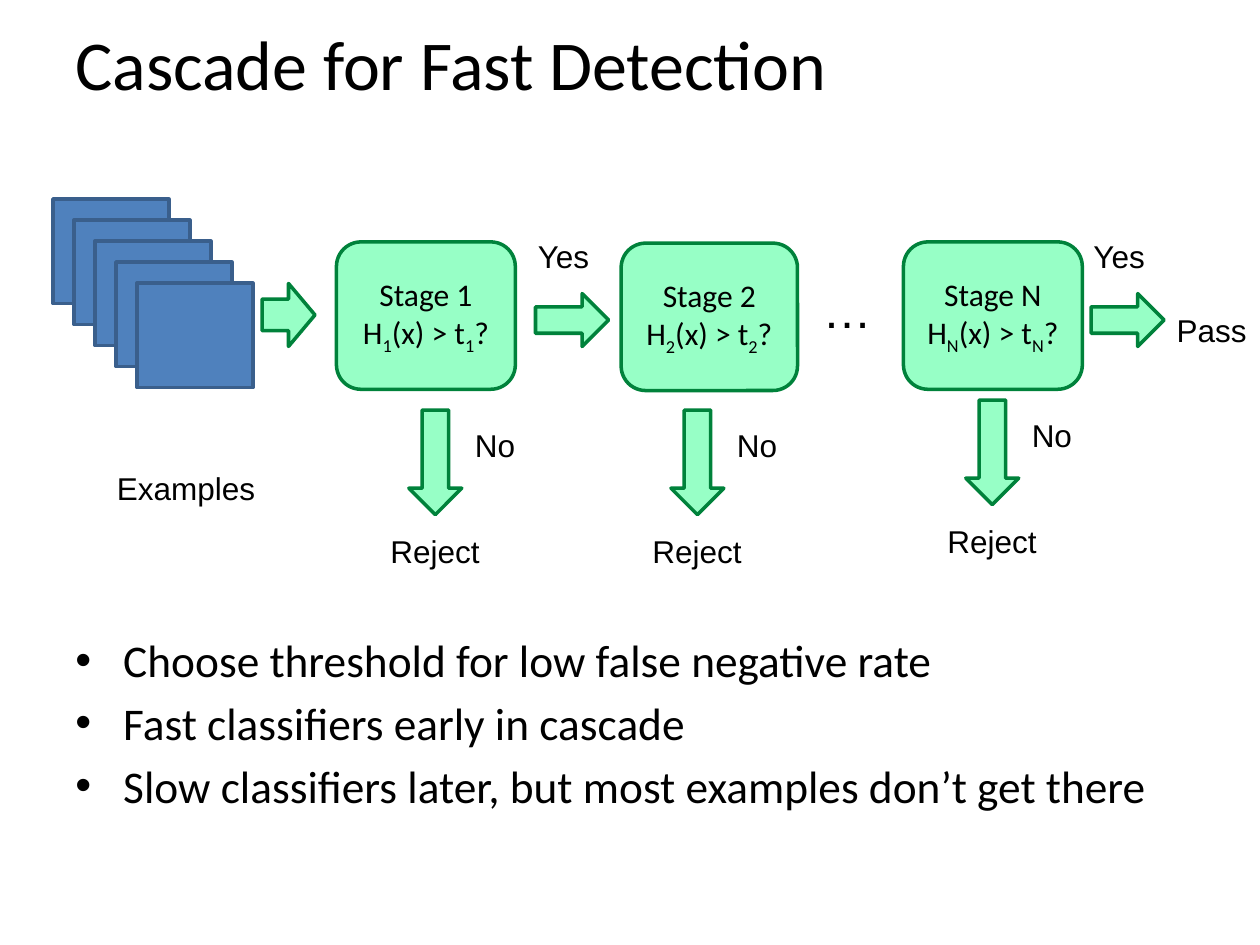
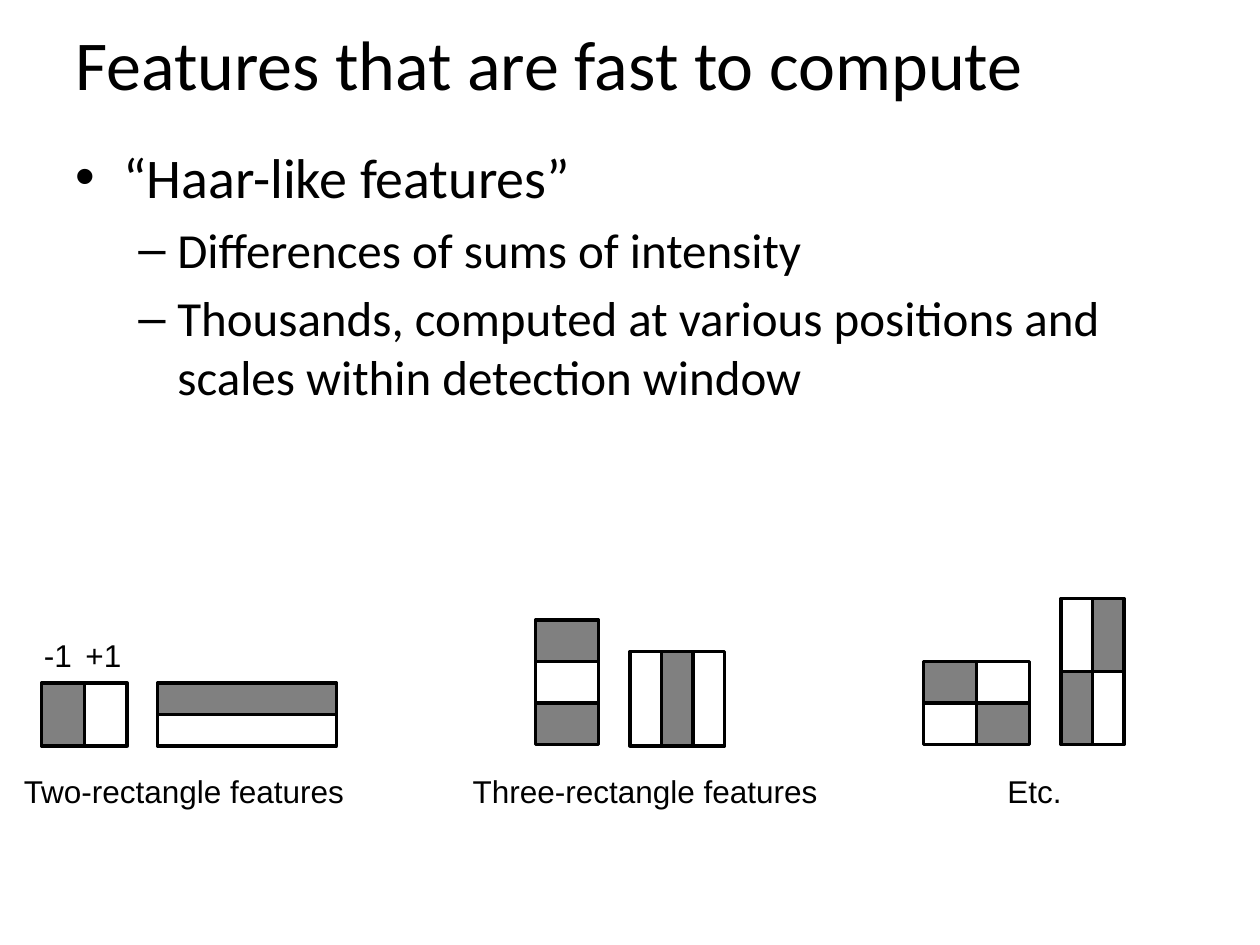
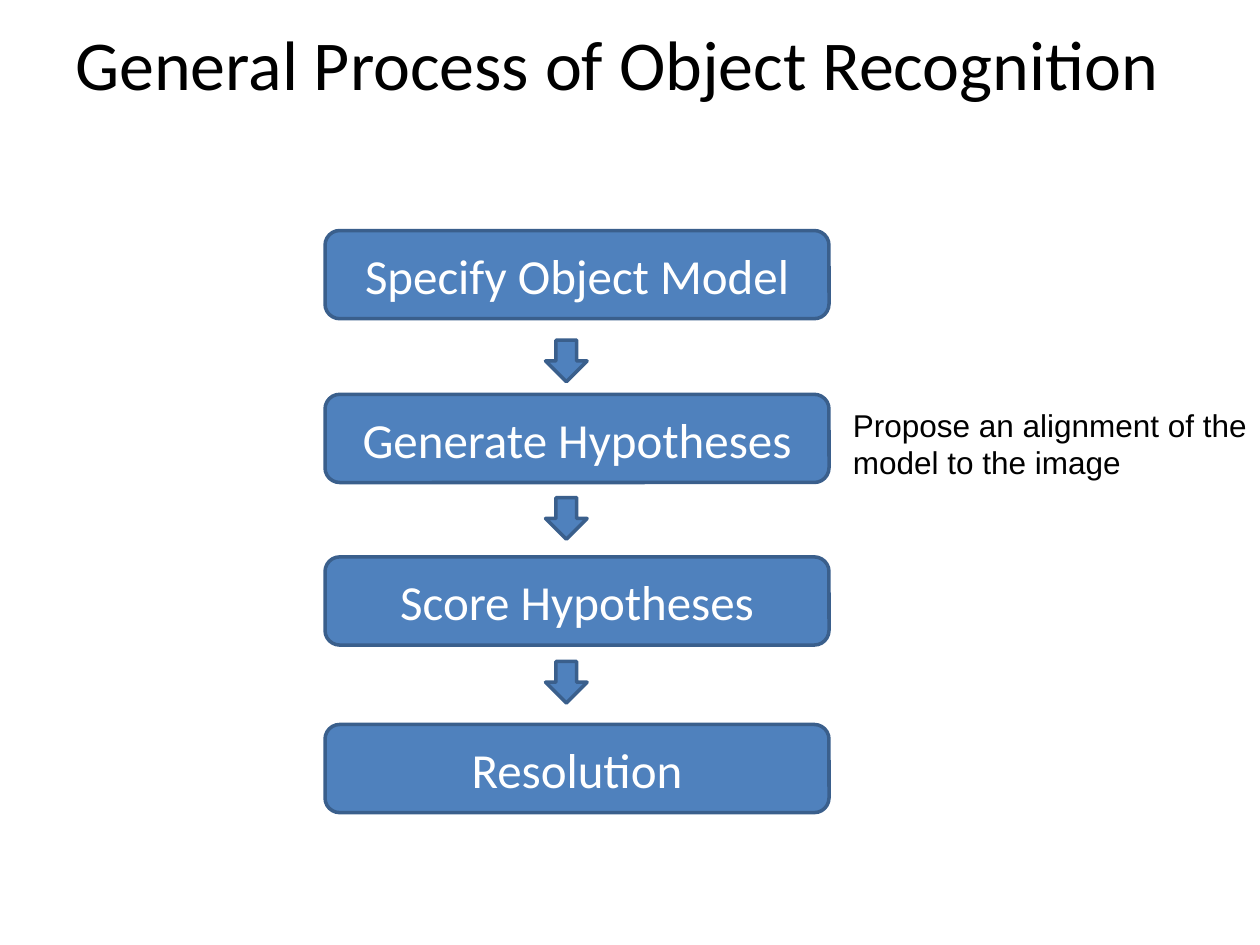
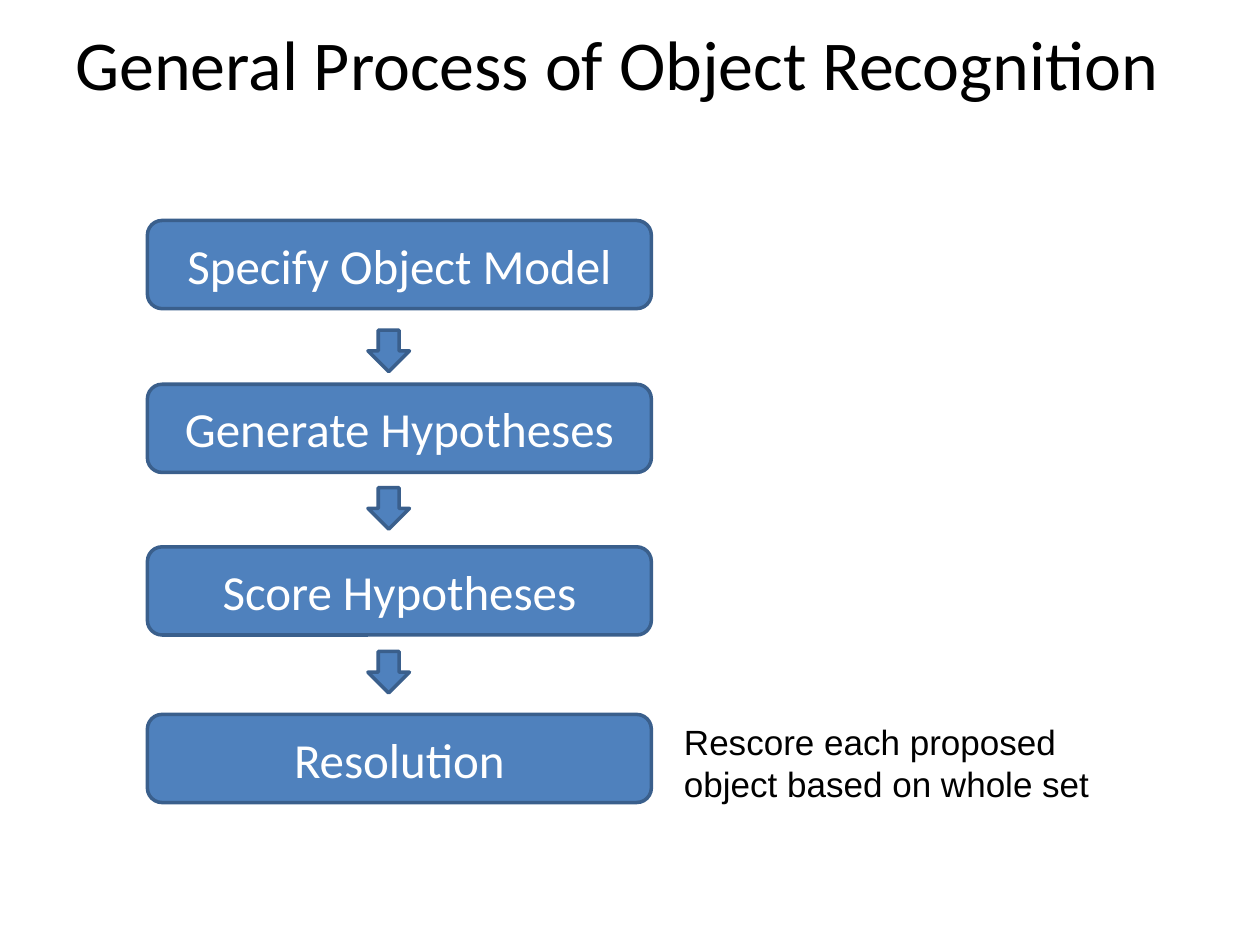
from dataclasses import dataclass

from lxml.etree import SubElement
from pptx import Presentation
from pptx.dml.color import RGBColor
from pptx.enum.shapes import MSO_SHAPE as Preset
from pptx.enum.text import MSO_ANCHOR as Anchor, MSO_AUTO_SIZE as AutoSize, PP_ALIGN as Align
from pptx.oxml.ns import qn
from pptx.shapes.autoshape import Shape
from pptx.slide import Slide
from pptx.util import Inches, Pt

BLACK = RGBColor(0x00, 0x00, 0x00)
WHITE = RGBColor(0xFF, 0xFF, 0xFF)
GRAY = RGBColor(0x80, 0x80, 0x80)
BLUE = RGBColor(0x4F, 0x81, 0xBD)
DARK_BLUE = RGBColor(0x3A, 0x5F, 0x8C)
MINT = RGBColor(0x97, 0xFF, 0xC6)
GREEN = RGBColor(0x00, 0x82, 0x3B)

HEADING_FONT = "Calibri"
LABEL_FONT = "Arial"


@dataclass(frozen=True)
class Box:
    left: float
    top: float
    width: float
    height: float

    def lengths(self) -> tuple[int, int, int, int]:
        return Inches(self.left), Inches(self.top), Inches(self.width), Inches(self.height)


@dataclass(frozen=True)
class Style:
    fill: RGBColor
    line: RGBColor


@dataclass(frozen=True)
class Bullet:
    text: str
    size: float
    space_before: float = 0
    symbol: str = "•"
    margin: float = 0.38
    hanging: float = 0.38


@dataclass(frozen=True)
class Stage:
    name: str
    box: Box
    branch_left: float
    branch_top: float


@dataclass(frozen=True)
class Feature:
    left: float
    top: float
    cell_width: float
    cell_height: float
    rows: tuple[str, ...]  # "-" is a gray cell, "+" a white one


@dataclass(frozen=True)
class Note:
    text: str
    box: Box
    size: int


BLUE_STYLE = Style(BLUE, DARK_BLUE)
GREEN_STYLE = Style(MINT, GREEN)
CELL_STYLES = {"-": Style(GRAY, BLACK), "+": Style(WHITE, BLACK)}
TITLE_BOX = Box(0.5, 0, 9, 1)

STAGES = (
    Stage("1", Box(2.67, 1.92, 1.42, 1.17), 3, 3.33),
    Stage("2", Box(4.93, 1.93, 1.4, 1.17), 5.08, 3.33),
    Stage("N", Box(7.17, 1.92, 1.42, 1.17), 7.42, 3.25),
)
YES_LEFTS = (4.17, 8.58)

FEATURES = (
    Feature(0.33, 5.42, 0.34, 0.5, ("-+",)),
    Feature(1.25, 5.42, 1.42, 0.25, ("-", "+")),
    Feature(4.25, 4.92, 0.5, 0.33, ("-", "+", "-")),
    Feature(5, 5.17, 0.25, 0.75, ("+-+",)),
    Feature(7.33, 5.25, 0.42, 0.33, ("-+", "+-")),
    Feature(8.42, 4.75, 0.25, 0.58, ("+-", "-+")),
)

STEPS = ("Specify Object Model", "Generate Hypotheses", "Score Hypotheses", "Resolution")
STEP_OFFSETS = (0, 1.3, 2.59, 3.92)
ARROW_OFFSETS = (0.87, 2.12, 3.42)


# Shared drawing helpers

def add_run(paragraph, text: str, size: float, font: str, color: RGBColor = BLACK,
            subscript: bool = False) -> None:
    run = paragraph.add_run()
    run.text = text
    run.font.size = Pt(size)
    run.font.name = font
    run.font.color.rgb = color
    if subscript:
        run._r.get_or_add_rPr().set("baseline", "-25000")


def add_preset(slide: Slide, preset: Preset, box: Box, style: Style) -> Shape:
    shape = slide.shapes.add_shape(preset, *box.lengths())
    shape.shadow.inherit = False
    shape.fill.solid()
    shape.fill.fore_color.rgb = style.fill
    shape.line.color.rgb = style.line
    shape.line.width = Pt(2)
    return shape


def add_label(slide: Slide, text: str, box: Box, size: float = 18, font: str = LABEL_FONT,
              wrap: bool = False, align: Align = Align.LEFT, anchor: Anchor = Anchor.TOP) -> None:
    frame = slide.shapes.add_textbox(*box.lengths()).text_frame
    frame.word_wrap = wrap
    frame.auto_size = AutoSize.NONE
    frame.vertical_anchor = anchor
    paragraph = frame.paragraphs[0]
    paragraph.alignment = align
    add_run(paragraph, text, size, font)


def add_bullets(slide: Slide, box: Box, bullets: tuple[Bullet, ...]) -> None:
    frame = slide.shapes.add_textbox(*box.lengths()).text_frame
    frame.word_wrap = True
    for index, bullet in enumerate(bullets):
        paragraph = frame.add_paragraph() if index else frame.paragraphs[0]
        properties = paragraph._p.get_or_add_pPr()
        properties.set("marL", str(Inches(bullet.margin)))
        properties.set("indent", str(-Inches(bullet.hanging)))
        SubElement(properties, qn("a:buFont")).set("typeface", LABEL_FONT)
        SubElement(properties, qn("a:buChar")).set("char", bullet.symbol)
        if index:
            paragraph.space_before = Pt(bullet.space_before)
        add_run(paragraph, bullet.text, bullet.size, HEADING_FONT)


def add_titled_slide(presentation, title: str) -> Slide:
    slide = presentation.slides.add_slide(presentation.slide_layouts[6])
    add_label(slide, title, TITLE_BOX, 40, HEADING_FONT, wrap=True, anchor=Anchor.MIDDLE)
    return slide


# Cascade of classifier stages

def add_stage(slide: Slide, stage: Stage) -> None:
    frame = add_preset(slide, Preset.ROUNDED_RECTANGLE, stage.box, GREEN_STYLE).text_frame
    frame.vertical_anchor = Anchor.MIDDLE
    heading, test = frame.paragraphs[0], frame.add_paragraph()
    heading.alignment = test.alignment = Align.CENTER
    add_run(heading, f"Stage {stage.name}", 18, HEADING_FONT)
    for text in ("H", stage.name, "(x) > t", stage.name, "?"):
        add_run(test, text, 18, HEADING_FONT, subscript=text == stage.name)

    # Reject branch below the stage
    left, top = stage.branch_left, stage.branch_top
    arrow = add_preset(slide, Preset.RIGHT_ARROW, Box(left + 0.04, top + 0.13, 0.83, 0.42), GREEN_STYLE)
    arrow.rotation = 90
    add_label(slide, "No", Box(left + 0.67, top, 0.52, 0.4))
    add_label(slide, "Reject", Box(left, top + 0.84, 0.92, 0.4))


def build_cascade_slide(presentation) -> None:
    slide = add_titled_slide(presentation, "Cascade for Fast Detection")
    for index in range(5):
        offset = index / 6
        add_preset(slide, Preset.RECTANGLE, Box(0.42 + offset, 1.58 + offset, 0.92, 0.83), BLUE_STYLE)
    add_label(slide, "Examples", Box(0.83, 3.67, 1.31, 0.4))
    add_preset(slide, Preset.RIGHT_ARROW, Box(2.08, 2.25, 0.42, 0.5), GREEN_STYLE)

    for stage in STAGES:
        add_stage(slide, stage)
    for left in YES_LEFTS:
        add_preset(slide, Preset.RIGHT_ARROW, Box(left + 0.08, 2.33, 0.58, 0.42), GREEN_STYLE)
        add_label(slide, "Yes", Box(left, 1.83, 0.61, 0.4))
    add_label(slide, "…", Box(6.43, 2.17, 0.6, 0.57), 28)
    add_label(slide, "Pass", Box(9.24, 2.42, 0.76, 0.4))

    add_bullets(slide, Box(0.5, 4.97, 9, 1.73), (
        Bullet("Choose threshold for low false negative rate", 25.9),
        Bullet("Fast classifiers early in cascade", 25.9, 4.7),
        Bullet("Slow classifiers later, but most examples don’t get there", 25.9, 4.7),
    ))


# Rectangle features

def add_feature(slide: Slide, feature: Feature) -> None:
    width, height = feature.cell_width, feature.cell_height
    for row, signs in enumerate(feature.rows):
        for column, sign in enumerate(signs):
            cell = Box(feature.left + column * width, feature.top + row * height, width, height)
            add_preset(slide, Preset.RECTANGLE, cell, CELL_STYLES[sign])


def build_features_slide(presentation) -> None:
    slide = add_titled_slide(presentation, "Features that are fast to compute")
    add_bullets(slide, Box(0.5, 1.08, 9, 5.62), (
        Bullet("“Haar-like features”", 32),
        Bullet("Differences of sums of intensity", 28, 5.6, "–", 0.81, 0.31),
        Bullet("Thousands, computed at various positions and scales within detection window",
               28, 5.6, "–", 0.81, 0.31),
    ))
    for feature in FEATURES:
        add_feature(slide, feature)
    for text, left, width in (("Two-rectangle features", 0, 2.92),
                              ("Three-rectangle features", 3.58, 3.08),
                              ("Etc.", 6.75, 2.92)):
        add_label(slide, text, Box(left, 6.08, width, 0.4), wrap=True, align=Align.CENTER)
    add_label(slide, "-1", Box(0.25, 5, 0.43, 0.4))
    add_label(slide, "+1", Box(0.58, 5, 0.49, 0.4))


# Recognition process

def build_process_slide(presentation, left: float, top: float, note: Note) -> None:
    slide = add_titled_slide(presentation, "General Process of Object Recognition")
    for step, offset in zip(STEPS, STEP_OFFSETS):
        box = Box(left, top + offset, 4, 0.7)
        frame = add_preset(slide, Preset.ROUNDED_RECTANGLE, box, BLUE_STYLE).text_frame
        frame.vertical_anchor = Anchor.MIDDLE
        frame.paragraphs[0].alignment = Align.CENTER
        add_run(frame.paragraphs[0], step, 28, HEADING_FONT, WHITE)
    for offset in ARROW_OFFSETS:
        add_preset(slide, Preset.DOWN_ARROW, Box(left + 1.75, top + offset, 0.33, 0.33), BLUE_STYLE)
    add_label(slide, note.text, note.box, note.size, wrap=True)


def main() -> None:
    presentation = Presentation()
    presentation.slide_width = Inches(10)
    presentation.slide_height = Inches(7.5)
    build_cascade_slide(presentation)
    build_features_slide(presentation)
    build_process_slide(presentation, 2.58, 1.83, Note(
        "Propose an alignment of the model to the image", Box(6.67, 3.17, 3.42, 0.71), 18))
    build_process_slide(presentation, 1.17, 1.75, Note(
        "Rescore each proposed object based on whole set", Box(5.33, 5.67, 3.92, 0.77), 20))
    presentation.save("out.pptx")


if __name__ == "__main__":
    main()
